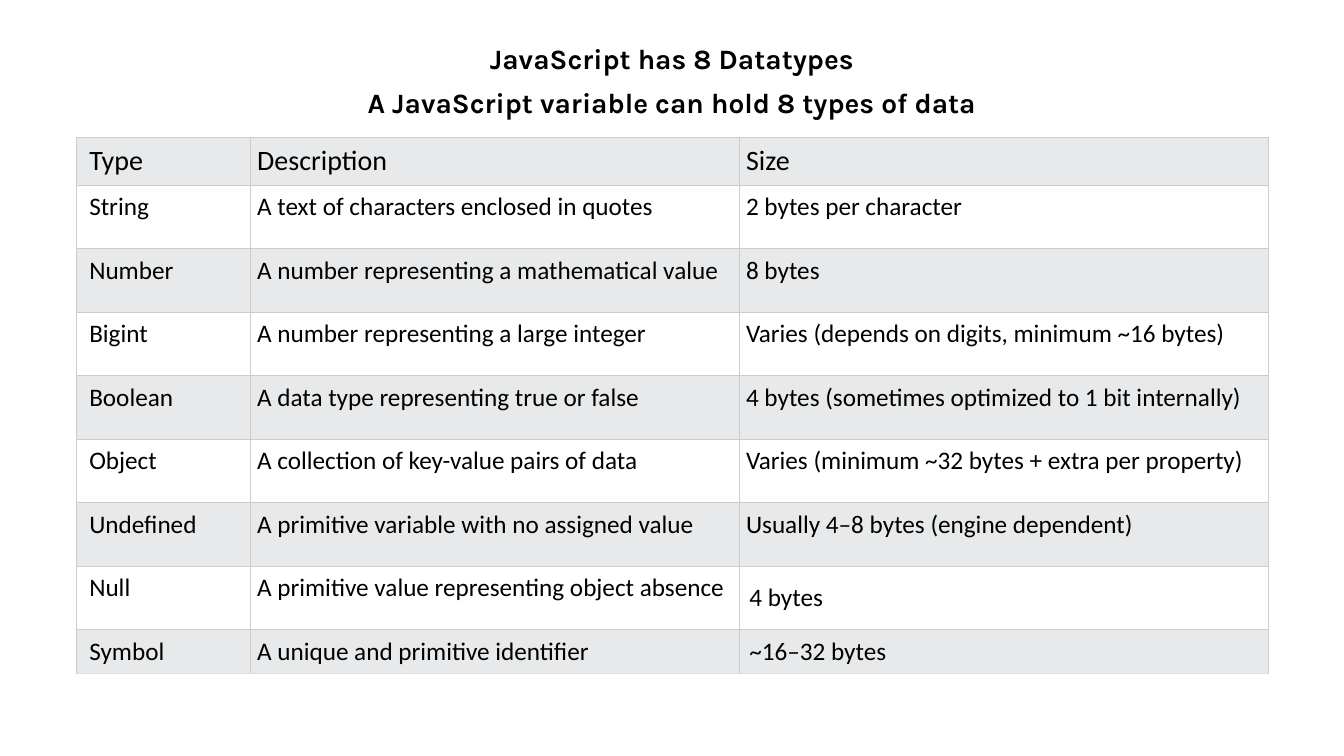
import pptx
import pptx.util
import pptx.dml.color
import pptx.enum.text
import pptx.oxml
import pptx.oxml.ns

Cm, Pt = pptx.util.Cm, pptx.util.Pt
RGB = pptx.dml.color.RGBColor.from_string
ANCHOR = pptx.enum.text.MSO_ANCHOR

COLORS = {"text": "000000", "band": "E7E9EB", "plain": "FFFFFF",
          "border": "CCCCCC", "bottom": "DDDDDD"}
TITLE = ["JavaScript has 8 Datatypes", "A JavaScript variable can hold 8 types of data"]
ROWS = [
    ("Type", "Description", "Size"),
    ("String", "A text of characters enclosed in quotes", "2 bytes per character"),
    ("Number", "A number representing a mathematical value", "8 bytes"),
    ("Bigint", "A number representing a large integer",
     "Varies (depends on digits, minimum ~16 bytes)"),
    ("Boolean", "A data type representing true or false",
     "4 bytes (sometimes optimized to 1 bit internally)"),
    ("Object", "A collection of key-value pairs of data",
     "Varies (minimum ~32 bytes + extra per property)"),
    ("Undefined", "A primitive variable with no assigned value",
     "Usually 4–8 bytes (engine dependent)"),
    ("Null", "A primitive value representing object absence", "4 bytes"),
    ("Symbol", "A unique and primitive identifier", "~16–32 bytes"),
]
WIDTHS = [4.39, 12.32, 13.34]
HEIGHTS = [1.21] + [1.6] * 7 + [1.11]


def format_font(font, name, size, bold=False):
    font.name = name
    font.size = Pt(size)
    font.bold = bold
    font.color.rgb = RGB(COLORS["text"])


def set_borders(cell, bottom):
    tcPr = cell._tc.get_or_add_tcPr()
    for i, side in enumerate("LRTB"):
        color = bottom if side == "B" else COLORS["border"]
        tcPr.insert(i, pptx.oxml.parse_xml(
            f'<a:ln{side} {pptx.oxml.ns.nsdecls("a")} w="{Pt(0.6)}"><a:solidFill>'
            f'<a:srgbClr val="{color}"/></a:solidFill></a:ln{side}>'))


prs = pptx.Presentation()
prs.slide_width, prs.slide_height = Cm(33.87), Cm(19.05)
s = prs.slides.add_slide(prs.slide_layouts[5])

title = s.shapes.title
title.left, title.top, title.width, title.height = Cm(8.47), Cm(0.91), Cm(16.93), Cm(2.26)
tf = title.text_frame
tf.text = "\n".join(TITLE)
tf.word_wrap = True
tf.auto_size = pptx.enum.text.MSO_AUTO_SIZE.NONE
tf.vertical_anchor = ANCHOR.TOP
for p in tf.paragraphs:
    p.alignment = pptx.enum.text.PP_ALIGN.CENTER
    format_font(p.font, "Karla", 20, True)
tf.paragraphs[0].space_after = Pt(7.5)

table = s.shapes.add_table(len(ROWS), len(WIDTHS), Cm(1.92), Cm(3.45),
                           Cm(sum(WIDTHS)), Cm(sum(HEIGHTS))).table
table.first_row = False
table.horz_banding = False
for column, width in zip(table.columns, WIDTHS):
    column.width = Cm(width)

for r, values in enumerate(ROWS):
    table.rows[r].height = Cm(HEIGHTS[r])
    for c, value in enumerate(values):
        cell = table.cell(r, c)
        cell.text = value
        format_font(cell.text_frame.paragraphs[0].font, "Calibri", 18 if r else 20)
        cell.fill.solid()
        cell.fill.fore_color.rgb = RGB(COLORS["plain" if r % 2 else "band"])
        if c == 2 and r >= 7:
            cell.vertical_anchor = ANCHOR.MIDDLE
        else:
            cell.margin_left = Cm(0.17 if c else 0.33)
            cell.margin_right = cell.margin_top = cell.margin_bottom = Cm(0.17)
        set_borders(cell, COLORS["bottom" if r == len(ROWS) - 1 else "border"])

prs.save("out.pptx")
